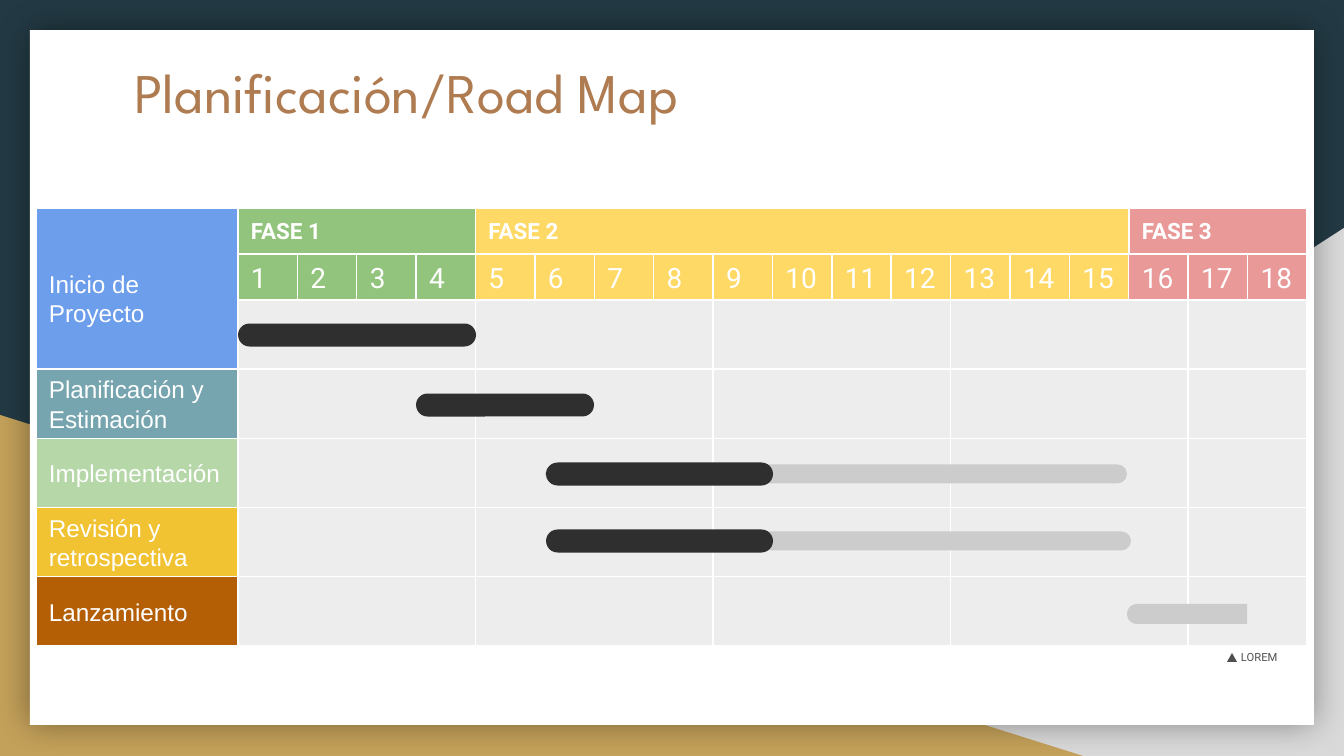
from lxml import etree
from pptx import Presentation
from pptx.dml.color import RGBColor
from pptx.enum.shapes import MSO_SHAPE
from pptx.enum.text import MSO_ANCHOR, MSO_AUTO_SIZE, PP_ALIGN
from pptx.oxml.ns import qn
from pptx.util import Pt

RECTANGLE = MSO_SHAPE.RECTANGLE
RIGHT_TRIANGLE = MSO_SHAPE.RIGHT_TRIANGLE
TRIANGLE = MSO_SHAPE.ISOSCELES_TRIANGLE
ROUNDED_ENDS = MSO_SHAPE.ROUND_2_SAME_RECTANGLE
TOP, MIDDLE, BOTTOM = MSO_ANCHOR.TOP, MSO_ANCHOR.MIDDLE, MSO_ANCHOR.BOTTOM
LEFT = PP_ALIGN.LEFT
NO_AUTOFIT = MSO_AUTO_SIZE.NONE

NAVY = RGBColor(0x23, 0x3A, 0x44)
SILVER = RGBColor(0xD9, 0xD9, 0xD9)
OCHRE = RGBColor(0xC4, 0xA1, 0x5A)
WHITE = RGBColor(0xFF, 0xFF, 0xFF)
COPPER = RGBColor(0xAF, 0x7B, 0x51)
GREEN = RGBColor(0x93, 0xC4, 0x7D)
YELLOW = RGBColor(0xFF, 0xD9, 0x66)
PINK = RGBColor(0xEA, 0x99, 0x99)
BLUE = RGBColor(0x6D, 0x9E, 0xEB)
TEAL = RGBColor(0x76, 0xA5, 0xAF)
MINT = RGBColor(0xB6, 0xD7, 0xA8)
GOLD = RGBColor(0xF1, 0xC2, 0x32)
BROWN = RGBColor(0xB4, 0x5F, 0x06)
CELL_GRAY = RGBColor(0xED, 0xED, 0xED)
PENDING = RGBColor(0xCC, 0xCC, 0xCC)
DONE = RGBColor(0x2F, 0x2F, 0x2F)
NOTE_GRAY = RGBColor(0x50, 0x50, 0x50)

TITLE = "Planificación/Road Map"
MARKER = "LOREM"
# name, first week, last week, colour
PHASES = [
    ("FASE 1", 1, 4, GREEN),
    ("FASE 2", 5, 15, YELLOW),
    ("FASE 3", 16, 18, PINK),
]
STAGES = [
    ("Inicio de Proyecto", BLUE),
    ("Planificación y Estimación", TEAL),
    ("Implementación", MINT),
    ("Revisión y retrospectiva", GOLD),
    ("Lanzamiento", BROWN),
]
# start, end, middle height, thickness, colour, roundness of the right end
BARS = [
    (238, 476, 335, 23, DONE, 0.5),
    (416, 594, 405, 23, DONE, 0.5),
    (545, 1127, 474, 19, PENDING, 0.5),
    (546, 773, 474, 23, DONE, 0.5),
    (546, 1131, 541, 19, PENDING, 0.5),
    (546, 773, 541, 23, DONE, 0.5),
    (1127, 1247, 614, 20, PENDING, 0),
]

LABEL_LEFT, GRID_LEFT, GRID_RIGHT = 36, 238, 1307
HEADER_TOP, HEADER_HEIGHT = 208, 46
ROWS_TOP, ROWS_BOTTOM = 300, 646
WEEKS, BLOCK_WEEKS = 18, 4
INSET = 13


def px(length):
    return round(length * 914400 / 134.4)


def week_left(week):
    return GRID_LEFT + (week - 1) * (GRID_RIGHT - GRID_LEFT) / WEEKS


def row_top(row):
    return ROWS_TOP + row * (ROWS_BOTTOM - ROWS_TOP) / len(STAGES)


def add_shape(slide, kind, left, top, width, height, fill, outline=None):
    shape = slide.shapes.add_shape(kind, px(left), px(top), px(width), px(height))
    shape.shadow.inherit = False
    shape.fill.solid()
    shape.fill.fore_color.rgb = fill
    if outline is None:
        shape.line.fill.background()
    else:
        shape.line.color.rgb = outline
        shape.line.width = Pt(0.75)
    return shape


def write(box, text, font, size, color, bold=False, anchor=MIDDLE, bottom=INSET):
    frame = box.text_frame
    frame.word_wrap = True
    frame.auto_size = NO_AUTOFIT
    frame.vertical_anchor = anchor
    frame.margin_left = frame.margin_top = frame.margin_right = px(INSET)
    frame.margin_bottom = px(bottom)
    para = frame.paragraphs[0]
    para.alignment = LEFT
    span = para.add_run()
    span.text = text
    span.font.name = font
    span.font.size = Pt(size)
    span.font.bold = bold
    span.font.color.rgb = color


def add_backdrop(slide):
    slide.background.fill.solid()
    slide.background.fill.fore_color.rgb = NAVY
    corner = add_shape(slide, RIGHT_TRIANGLE, 527, 228, 817, 528, SILVER)
    corner.element.spPr.xfrm.set("flipH", "1")
    add_shape(slide, RIGHT_TRIANGLE, 0, 415, 1083, 341, OCHRE)
    card = add_shape(slide, RECTANGLE, 30, 30, 1284, 695, WHITE)
    effects = card.element.spPr.find(qn("a:effectLst"))
    shadow = etree.SubElement(effects, qn("a:outerShdw"), blurRad=str(Pt(18)),
                              dist="0", dir="0", algn="ctr", rotWithShape="0")
    color = etree.SubElement(shadow, qn("a:srgbClr"), val="000000")
    etree.SubElement(color, qn("a:alpha"), val="40000")


def add_title(slide):
    title = slide.shapes.title
    title.left, title.top, title.width, title.height = map(px, (121, 44, 1103, 140))
    write(title, TITLE, "League Spartan", 30, COPPER, anchor=TOP)
    slide.shapes.element.append(title.element)  # bring in front of the card


def add_header(slide):
    for name, first, last, color in PHASES:
        left = week_left(first)
        phase = add_shape(slide, RECTANGLE, left, HEADER_TOP,
                          week_left(last + 1) - left, HEADER_HEIGHT, color, WHITE)
        write(phase, name, "Roboto", 12, WHITE, bold=True)
        for week in range(first, last + 1):
            cell = add_shape(slide, RECTANGLE, week_left(week), HEADER_TOP + HEADER_HEIGHT,
                             week_left(2) - GRID_LEFT, HEADER_HEIGHT, color, WHITE)
            write(cell, str(week), "Roboto", 15, WHITE)


def add_rows(slide):
    for row, (name, color) in enumerate(STAGES):
        top, end = row_top(row), row_top(row + 1)
        for week in range(1, WEEKS + 1, BLOCK_WEEKS):
            left = week_left(week)
            right = week_left(min(week + BLOCK_WEEKS, WEEKS + 1))
            add_shape(slide, RECTANGLE, left, top, right - left, end - top, CELL_GRAY, WHITE)
        is_first = row == 0
        label_top = HEADER_TOP if is_first else top
        label = add_shape(slide, RECTANGLE, LABEL_LEFT, label_top,
                          GRID_LEFT - LABEL_LEFT, end - label_top, color, WHITE)
        write(label, name, "Arial", 13, WHITE, anchor=BOTTOM if is_first else MIDDLE,
              bottom=42 if is_first else INSET)


def add_bar(slide, start, end, middle, thickness, color, right_round):
    """Draw an upright shape turned a quarter, so its top is the right end."""
    length = end - start
    bar = add_shape(slide, ROUNDED_ENDS, (start + end - thickness) / 2,
                    middle - length / 2, thickness, length, color)
    bar.rotation = 90
    bar.adjustments[0] = right_round
    bar.adjustments[1] = 0.5


def add_marker(slide):
    add_shape(slide, TRIANGLE, 1227, 653, 10, 9, NOTE_GRAY)
    box = slide.shapes.add_textbox(px(1228), px(650), px(78), px(15))
    write(box, MARKER, "Roboto", 6, NOTE_GRAY)


def main():
    deck = Presentation()
    deck.slide_width, deck.slide_height = px(1344), px(756)
    slide = deck.slides.add_slide(deck.slide_layouts[5])
    add_backdrop(slide)
    add_title(slide)
    add_header(slide)
    add_rows(slide)
    for bar in BARS:
        add_bar(slide, *bar)
    add_marker(slide)
    deck.save("out.pptx")


if __name__ == "__main__":
    main()
